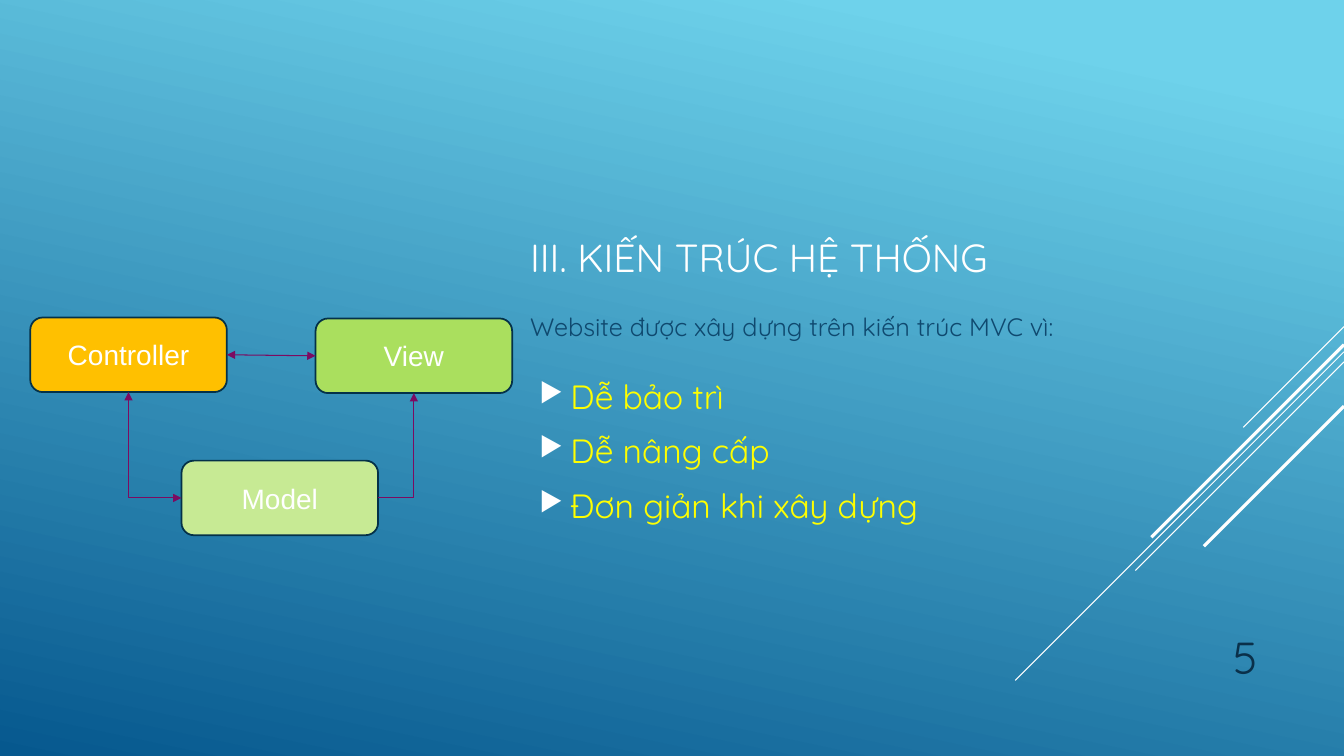
from lxml import etree
from pptx import Presentation
from pptx.dml.color import RGBColor
from pptx.enum.shapes import MSO_CONNECTOR, MSO_SHAPE
from pptx.enum.text import MSO_ANCHOR, PP_ALIGN
from pptx.oxml.ns import qn
from pptx.util import Inches, Pt

WHITE = RGBColor(0xFF, 0xFF, 0xFF)
YELLOW = RGBColor(0xFF, 0xFF, 0x00)
SKY = RGBColor(0x6E, 0xD2, 0xEB)
DEEP = RGBColor(0x06, 0x58, 0x8E)
NAVY = RGBColor(0x0F, 0x49, 0x6F)
INK = RGBColor(0x0A, 0x30, 0x4A)
OUTLINE = RGBColor(0x04, 0x31, 0x48)
PURPLE = RGBColor(0x7C, 0x0B, 0x61)
ORANGE = RGBColor(0xFF, 0xC0, 0x00)
PALE_GREEN = RGBColor(0xC7, 0xEA, 0x94)
GREEN = RGBColor(0xAA, 0xDF, 0x5E)

TOP, LEFT, BOTTOM, RIGHT = range(4)


def paint_background(slide):
    fill = slide.background.fill
    fill.gradient()
    fill.gradient_angle = 258
    for stop, position, color in zip(fill.gradient_stops, (0.1, 1), (SKY, DEEP)):
        stop.position = position
        stop.color.rgb = color


def add_line(slide, kind, begin, end, color, width):
    points = [Inches(v) for v in (*begin, *end)]
    line = slide.shapes.add_connector(kind, *points)
    line.line.color.rgb = color
    line.line.width = Pt(width)
    etree.SubElement(line._element.spPr, qn("a:effectLst"))
    return line


def add_stripes(slide, right, top):
    stripes = [(0, 1, 0.75), (0.25, 3.26, 0.75), (0.35, 2.07, 0.75),
               (0.18, 1.91, 2.25), (0.79, 1.39, 2.25)]
    for drop, reach, width in stripes:
        y = top + drop
        add_line(slide, MSO_CONNECTOR.STRAIGHT, (right, y),
                 (right - reach, y + reach), WHITE, width)


def add_text(slide, box, lines, size, color, anchor=MSO_ANCHOR.TOP,
             align=PP_ALIGN.LEFT, before=0, after=0):
    sp = slide.shapes.add_textbox(*[Inches(v) for v in box])
    tf = sp.text_frame
    tf.word_wrap = True
    tf.vertical_anchor = anchor
    tf.text = "\n".join(lines)
    for p in tf.paragraphs:
        p.alignment = align
        p.space_before = Pt(before)
        p.space_after = Pt(after)
        p.font.name = "Quicksand"
        p.font.size = Pt(size)
        p.font.color.rgb = color
    return tf


def add_bullets(slide, box, lines):
    tf = add_text(slide, box, lines, 24, YELLOW, before=4, after=6)
    for p in tf.paragraphs:
        pPr = p._p.get_or_add_pPr()
        pPr.set("marL", str(Inches(0.31)))
        pPr.set("indent", str(Inches(-0.31)))
        bullet_color = etree.Element(qn("a:buClr"))
        etree.SubElement(bullet_color, qn("a:srgbClr"), val=str(WHITE))
        bullet_size = etree.Element(qn("a:buSzPct"), val="80000")
        bullet = etree.Element(qn("a:buChar"), char="▶")
        for child in (bullet_color, bullet_size, bullet):
            pPr.find(qn("a:defRPr")).addprevious(child)


def add_node(slide, x, y, label, color):
    sp = slide.shapes.add_shape(MSO_SHAPE.ROUNDED_RECTANGLE, Inches(x), Inches(y),
                                Inches(1.95), Inches(0.74))
    sp.shadow.inherit = False
    sp.fill.solid()
    sp.fill.fore_color.rgb = color
    sp.line.color.rgb = OUTLINE
    sp.line.width = Pt(1.25)
    tf = sp.text_frame
    tf.vertical_anchor = MSO_ANCHOR.MIDDLE
    p = tf.paragraphs[0]
    p.text = label
    p.alignment = PP_ALIGN.CENTER
    p.font.name = "Arial"
    p.font.size = Pt(20)
    p.font.color.rgb = WHITE
    return sp


def link(slide, source, source_site, target, target_site, kind, ends):
    line = add_line(slide, kind, (0, 0), (1, 1), PURPLE, 0.75)
    line.begin_connect(source, source_site)
    line.end_connect(target, target_site)
    if kind == MSO_CONNECTOR.ELBOW:
        line._element.spPr.find(qn("a:prstGeom")).set("prst", "bentConnector2")
    ln = line.line._get_or_add_ln()
    for end in ends:
        etree.SubElement(ln, qn(f"a:{end}"), type="triangle")


def add_mvc_diagram(slide, x, y):
    controller = add_node(slide, x, y, "Controller", ORANGE)
    model = add_node(slide, x + 1.5, y + 1.42, "Model", PALE_GREEN)
    view = add_node(slide, x + 2.83, y + 0.01, "View", GREEN)
    both = ("headEnd", "tailEnd")
    link(slide, controller, RIGHT, view, LEFT, MSO_CONNECTOR.STRAIGHT, both)
    link(slide, model, LEFT, controller, BOTTOM, MSO_CONNECTOR.ELBOW, both)
    link(slide, model, RIGHT, view, BOTTOM, MSO_CONNECTOR.ELBOW, ("tailEnd",))


def add_content(slide, x, y):
    add_text(slide, (x, y, 6.58, 1.25), ["III. KIẾN TRÚC HỆ THỐNG"], 28, WHITE,
             anchor=MSO_ANCHOR.BOTTOM)
    add_text(slide, (x, y + 1.46, 6.59, 0.46),
             ["Website được xây dựng trên kiến trúc MVC vì:"], 18, NAVY,
             before=4, after=6)
    add_bullets(slide, (x + 0.09, y + 2.1, 5.39, 3.31),
                ["Dễ bảo trì", "Dễ nâng cấp", "Đơn giản khi xây dựng"])


def main():
    prs = Presentation()
    prs.slide_width = Inches(13.33)
    prs.slide_height = Inches(7.5)
    slide = prs.slides.add_slide(prs.slide_layouts[6])
    paint_background(slide)
    add_stripes(slide, 13.33, 3.24)
    add_content(slide, 5.16, 1.58)
    add_text(slide, (11.33, 6.1, 1.25, 0.73), ["5"], 32, INK,
             anchor=MSO_ANCHOR.BOTTOM, align=PP_ALIGN.RIGHT)
    add_mvc_diagram(slide, 0.3, 3.15)
    prs.save("out.pptx")


if __name__ == "__main__":
    main()
